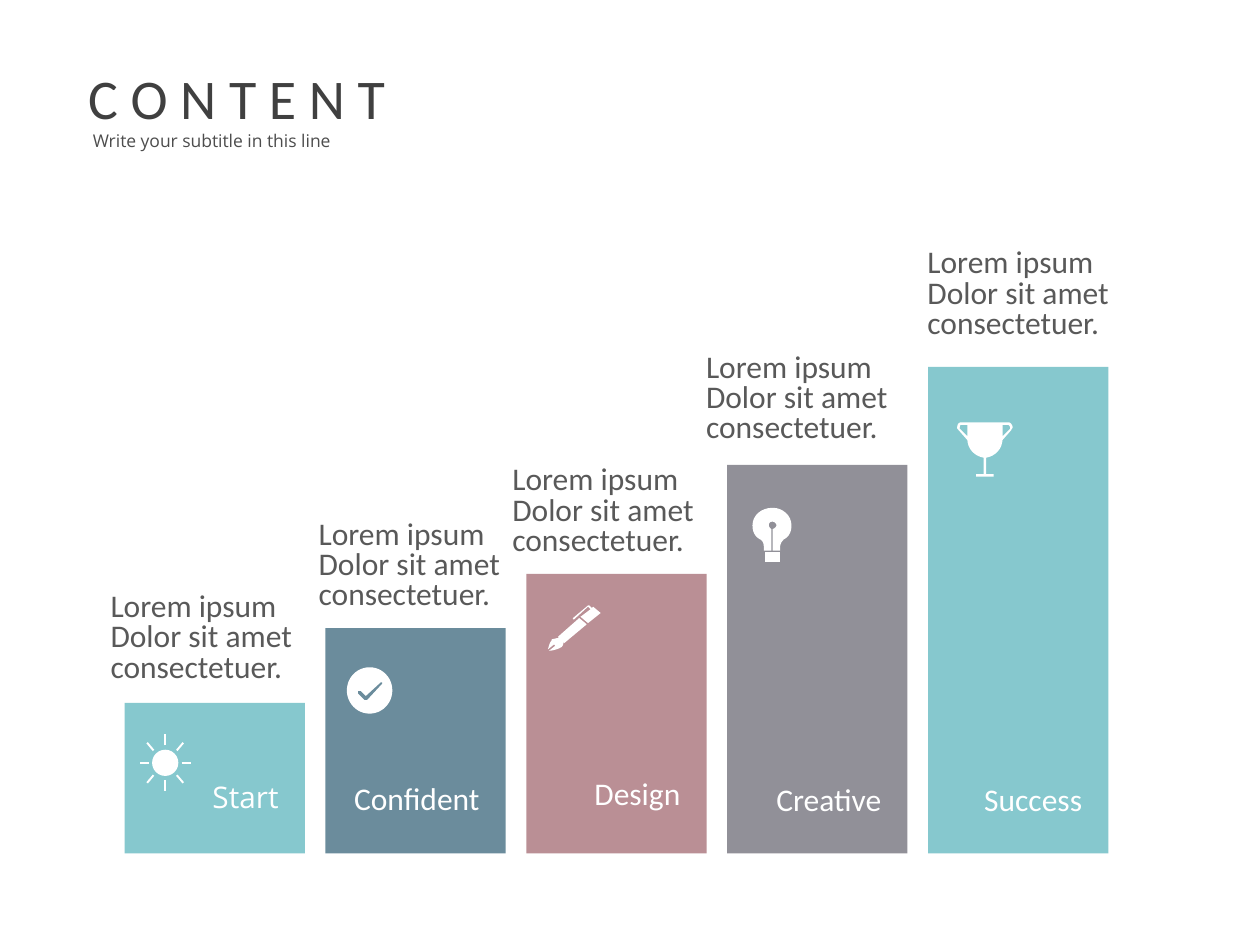
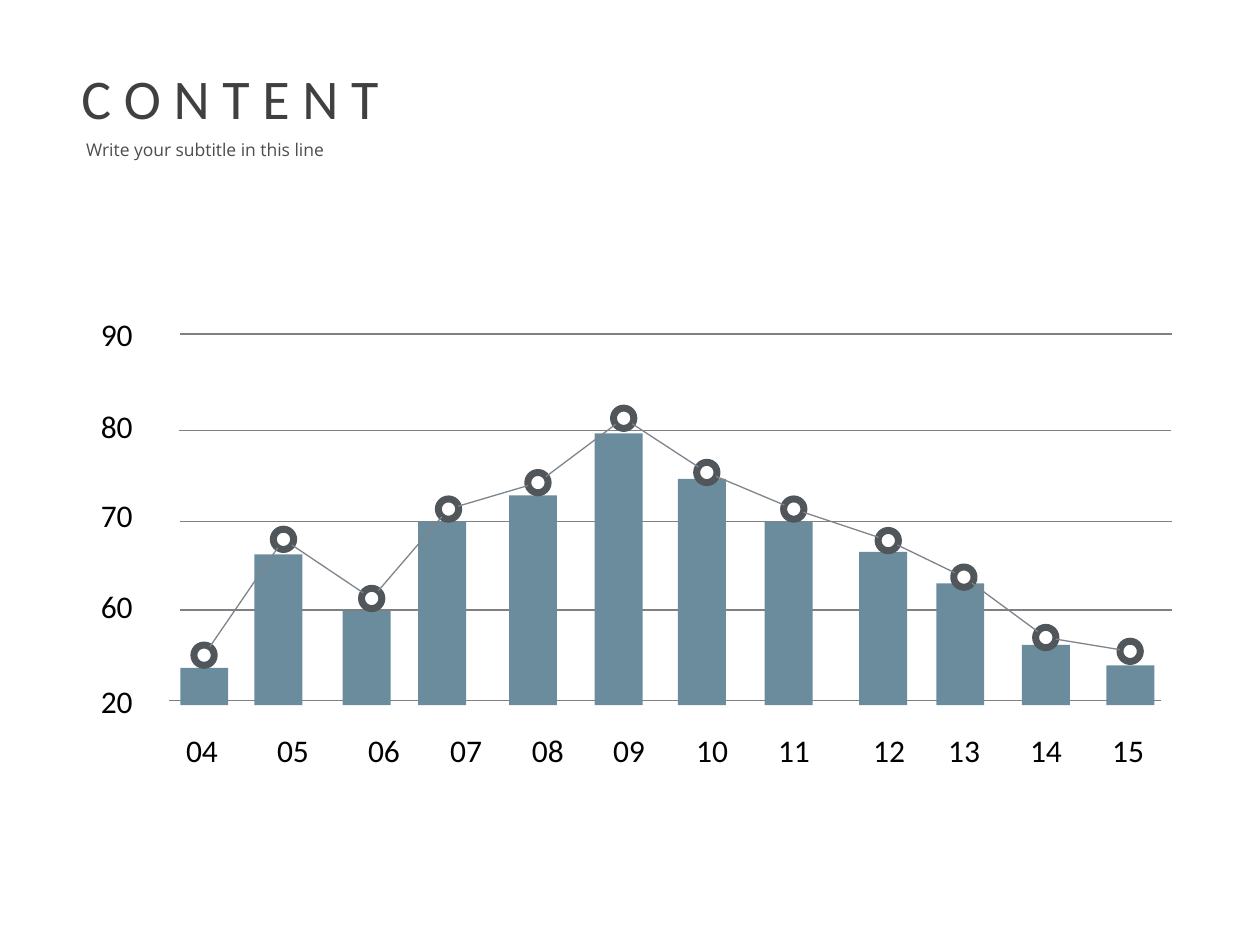
import math
from collections import namedtuple
from dataclasses import dataclass

import pptx
import pptx.dml.color
import pptx.enum.shapes
import pptx.enum.text
import pptx.oxml
import pptx.oxml.ns
import pptx.util

Pt = pptx.util.Pt
RECTANGLE = pptx.enum.shapes.MSO_SHAPE.RECTANGLE
OVAL = pptx.enum.shapes.MSO_SHAPE.OVAL
ALIGN = pptx.enum.text.PP_ALIGN


@dataclass(frozen=True)
class Theme:
    teal: str = "86C8CE"
    steel: str = "6B8C9C"
    rose: str = "BA8F95"
    grey: str = "919098"
    white: str = "FFFFFF"
    black: str = "000000"
    title: str = "404040"
    subtitle: str = "4D4D4D"
    note: str = "595959"
    ring: str = "51565B"
    grid: str = "808080"
    trend: str = "7D848B"
    body_font: str = "Calibri"
    accent_font: str = "Open Sans"
    title_size: float = 32
    body_size: float = 18
    start_size: float = 17
    subtitle_size: float = 10


THEME = Theme()
ICON_UNIT = 0.72
ICON_DETAIL = 100
CURVE_STEPS = 8

Card = namedtuple("Card", "caption color height caption_top note_offset icon icon_offset font size")
Year = namedtuple("Year", "label bar_left bar_top marker_x marker_y label_x")
Level = namedtuple("Level", "label line_left line_y label_top")

PEN_CLIP = [(20, 11), (21, 11), (32, 1), (34, 3), (26, 9), (32, 14),
            (42, 6), (36, 1), (35, 2), (33, 0), (32, 0), (20, 10)]
PEN_NIB = [(31, 15), (25, 10), (8, 25), (9, 26), (7, 26), (3, 27), (3, 28),
           (1, 30, 1, 33, 0, 35), (5, 31), (6, 32), (1, 36),
           (3, 36, 8, 35, 11, 33), (12, 32, 13, 30, 12, 28), (13, 30)]
CHECK_MARK = [(28, 13), (16, 26), (14, 26), (9, 21), (9, 19), (11, 19),
              (15, 23), (27, 12), (28, 12)]
BULB_GLASS = [(6, 25), (8, 26, 9, 28, 9, 31), (9, 34), (15, 34), (15, 17),
              (14, 16, 13, 15, 13, 14), (13, 12, 14, 11, 16, 11),
              (17, 11, 19, 12, 19, 14), (19, 15, 18, 16, 16, 17),
              (16, 34), (22, 34), (22, 31), (22, 28, 24, 26, 25, 25),
              (29, 23, 31, 19, 31, 14), (31, 6, 24, 0, 16, 0),
              (7, 0, 0, 6, 0, 14), (0, 19, 2, 23, 6, 25)]
BULB_BASE = [(10, 35), (10, 43), (22, 43), (22, 35)]
CUP_RIGHT_GAP = [(42, 5), (36, 11), (36, 2), (40, 2), (42, 2, 42, 4, 42, 5)]
CUP_LEFT_GAP = [(8, 11), (2, 5), (2, 4, 2, 2, 3, 2), (8, 2)]
CUP_BODY = [(41, 0), (3, 0), (1, 0, 0, 2, 0, 4), (0, 5, 0, 5, 1, 6), (8, 14),
            (8, 13), (8, 21, 14, 27, 21, 28), (21, 41), (15, 41), (15, 43),
            (29, 43), (29, 41), (23, 41), (23, 28), (30, 27, 36, 21, 36, 13),
            (36, 14), (43, 6), (43, 5, 44, 5, 44, 4), (44, 2, 42, 0, 41, 0)]


def rgb(color):
    return pptx.dml.color.RGBColor.from_string(color)


def fill_plain(shape, color):
    shape.shadow.inherit = False
    shape.fill.solid()
    shape.fill.fore_color.rgb = rgb(color)
    shape.line.fill.background()


def add_block(slide, kind, left, top, width, height, color):
    shape = slide.shapes.add_shape(kind, Pt(left), Pt(top), Pt(width), Pt(height))
    fill_plain(shape, color)
    return shape


def add_line(slide, start, end, color, weight=0.75):
    connector = slide.shapes.add_connector(
        pptx.enum.shapes.MSO_CONNECTOR.STRAIGHT, *(Pt(value) for value in (*start, *end)))
    connector.line.color.rgb = rgb(color)
    connector.line.width = Pt(weight)
    properties = connector._element.spPr
    properties.append(pptx.oxml.parse_xml(
        f"<a:effectLst {pptx.oxml.ns.nsdecls('a')}/>"))


def add_text(slide, box, text, color, size=THEME.body_size, font=THEME.body_font,
             align=ALIGN.LEFT, insets=(7.2, 3.6), spacing=None, wrap=True):
    shape = slide.shapes.add_textbox(*(Pt(value) for value in box))
    text_frame = shape.text_frame
    text_frame.word_wrap = wrap
    text_frame.margin_left = text_frame.margin_right = Pt(insets[0])
    text_frame.margin_top = text_frame.margin_bottom = Pt(insets[1])
    text_frame.text = text
    for paragraph in text_frame.paragraphs:
        paragraph.alignment = align
        if spacing:
            paragraph.line_spacing = spacing
        for run in paragraph.runs:
            run.font.name = font
            run.font.size = Pt(size)
            run.font.color.rgb = rgb(color)


def trace_contour(contour):
    points = [contour[0]]
    for segment in contour[1:]:
        if len(segment) == 2:
            points.append(segment)
            continue
        corners = [points[-1], segment[:2], segment[2:4], segment[4:]]
        for step in range(1, CURVE_STEPS + 1):
            t = step / CURVE_STEPS
            weights = [math.comb(3, k) * t ** k * (1 - t) ** (3 - k) for k in range(4)]
            points.append(tuple(sum(weight * corner[axis]
                                    for weight, corner in zip(weights, corners))
                                for axis in (0, 1)))
    return [(x * ICON_DETAIL, y * ICON_DETAIL) for x, y in points]


def add_outline(slide, left, top, contours, color):
    traced = [trace_contour(contour) for contour in contours]
    builder = slide.shapes.build_freeform(*traced[0][0], scale=Pt(ICON_UNIT) / ICON_DETAIL)
    for index, points in enumerate(traced):
        if index:
            builder.move_to(*points[0])
        builder.add_line_segments(points[1:], close=True)
    fill_plain(builder.convert_to_shape(Pt(left), Pt(top)), color)


def draw_sun(slide, left, top, card_color):
    center_x, center_y, radius = left + 14.6, top + 16.2, 7.5
    add_block(slide, OVAL, center_x - radius, center_y - radius,
              2 * radius, 2 * radius, THEME.white)
    for ray in range(8):
        cosine, sine = math.cos(ray * math.pi / 4), math.sin(ray * math.pi / 4)
        inner, outer = [(center_x + reach_x * cosine, center_y + reach_y * sine)
                        for reach_x, reach_y in ((9.4, 10), (14.6, 16.2))]
        add_line(slide, inner, outer, THEME.white, 1.1)


def draw_check(slide, left, top, card_color):
    add_block(slide, OVAL, left, top, 26, 26.5, THEME.white)
    add_outline(slide, left, top, [CHECK_MARK], card_color)


def draw_pen(slide, left, top, card_color):
    for part in (PEN_CLIP, PEN_NIB):
        add_outline(slide, left, top, [part], THEME.white)


def draw_bulb(slide, left, top, card_color):
    for part in (BULB_GLASS, BULB_BASE):
        add_outline(slide, left, top, [part], THEME.white)


def draw_trophy(slide, left, top, card_color):
    add_outline(slide, left, top, [CUP_RIGHT_GAP, CUP_LEFT_GAP, CUP_BODY], THEME.white)


CARDS = [
    Card("Start", THEME.teal, 86, 442, (-15.1, -66.2), draw_sun, (8.6, 18),
         THEME.accent_font, THEME.start_size),
    Card("Confident", THEME.steel, 128.7, 442, (-11, -64.8), draw_check, (12.2, 22.3),
         THEME.body_font, THEME.body_size),
    Card("Design", THEME.rose, 159.7, 439.5, (-15.1, -64.8), draw_pen, (12.2, 18),
         THEME.body_font, THEME.body_size),
    Card("Creative", THEME.grey, 222, 443, (-19.2, -67), draw_bulb, (14.4, 24.5),
         THEME.body_font, THEME.body_size),
    Card("Success", THEME.teal, 278, 443, (-7.5, -70.6), draw_trophy, (16.6, 31.7),
         THEME.body_font, THEME.body_size),
]
CARD_WIDTH, CARD_PITCH = 103, 114.8

LEVELS = [
    Level("20", 96.5, 400.3, 386),
    Level("60", 103, 348.5, 332),
    Level("70", 103, 298.1, 280),
    Level("80", 102.2, 246.2, 229),
    Level("90", 103, 190.8, 176.4),
]
YEARS = [
    Year("04", 103, 381.6, 116.6, 374.4, 115.4),
    Year("05", 145.4, 316.8, 162, 308.2, 167.4),
    Year("06", 195.8, 349.2, 212.4, 342, 219.4),
    Year("07", 239, 298.1, 256.3, 290.9, 266.3),
    Year("08", 290.9, 283, 307.4, 275.8, 313),
    Year("09", 339.8, 247.7, 356.4, 239, 359.4),
    Year("10", 387.4, 273.6, 403.9, 270, 406.9),
    Year("11", 437, 298.1, 453.6, 290.9, 453.7),
    Year("12", 491, 315.4, 507.6, 308.9, 508),
    Year("13", 535, 333.4, 550.8, 329.8, 550.9),
    Year("14", 583.9, 368.6, 597.6, 364.3, 597.7),
    Year("15", 632.2, 380.2, 645.8, 372.2, 644.6),
]
GRID_LENGTH, BAR_WIDTH, BAR_BOTTOM, MARKER_RADIUS = 567, 27.4, 403, 5.8
YEAR_LABEL_TOP, YEAR_LABEL_WIDTH = 414, 49


def add_heading(slide, left, subtitle_top):
    add_text(slide, (left, 33, 186.5, 46), "C O N T E N T", THEME.title,
             size=THEME.title_size, wrap=False)
    add_text(slide, (left + 9.8, subtitle_top, 150.5, 16.6),
             "Write your subtitle in this line", THEME.subtitle,
             size=THEME.subtitle_size, font=THEME.accent_font, insets=(0, 0))


def add_card(slide, card, left, bottom):
    top = bottom - card.height
    add_block(slide, RECTANGLE, left, top, CARD_WIDTH, card.height, card.color)
    add_text(slide, (left + 1.5, card.caption_top, 89.5, 31), card.caption, THEME.white,
             size=card.size, font=card.font, align=ALIGN.RIGHT, insets=(3, 3))
    card.icon(slide, left + card.icon_offset[0], top + card.icon_offset[1], card.color)
    add_text(slide, (left + card.note_offset[0], top + card.note_offset[1], 129.6, 59.8),
             "Lorem ipsum\nDolor sit amet consectetuer.", THEME.note, spacing=0.8)


def add_level(slide, level):
    add_line(slide, (level.line_left, level.line_y),
             (level.line_left + GRID_LENGTH, level.line_y), THEME.grid)
    add_text(slide, (50.5, level.label_top, 39.6, 28.8), level.label, THEME.black)


def add_year(slide, year):
    add_block(slide, RECTANGLE, year.bar_left, year.bar_top,
              BAR_WIDTH, BAR_BOTTOM - year.bar_top, THEME.steel)
    add_text(slide, (year.label_x - YEAR_LABEL_WIDTH / 2, YEAR_LABEL_TOP,
                     YEAR_LABEL_WIDTH, 28.8),
             year.label, THEME.black, align=ALIGN.CENTER)


def add_marker(slide, year):
    marker = add_block(slide, OVAL, year.marker_x - MARKER_RADIUS,
                       year.marker_y - MARKER_RADIUS,
                       2 * MARKER_RADIUS, 2 * MARKER_RADIUS, THEME.white)
    marker.line.color.rgb = rgb(THEME.ring)
    marker.line.width = Pt(4)


def add_trend(slide, first, second):
    run, rise = second.marker_x - first.marker_x, second.marker_y - first.marker_y
    share = MARKER_RADIUS / math.hypot(run, rise)
    add_line(slide, (first.marker_x + run * share, first.marker_y + rise * share),
             (second.marker_x - run * share, second.marker_y - rise * share), THEME.trend)


def build_steps_slide(slide):
    for index, card in enumerate(CARDS):
        add_card(slide, card, 71.2 + index * CARD_PITCH, 487.7)
    add_heading(slide, 43.2, 74.2)


def build_years_slide(slide):
    for level in LEVELS:
        add_level(slide, level)
    for year in YEARS:
        add_year(slide, year)
    for year in YEARS:
        add_marker(slide, year)
    for first, second in zip(YEARS, YEARS[1:]):
        add_trend(slide, first, second)
    add_heading(slide, 39.4, 79.2)


def main():
    presentation = pptx.Presentation()
    presentation.slide_width, presentation.slide_height = Pt(720), Pt(540)
    for build in (build_steps_slide, build_years_slide):
        build(presentation.slides.add_slide(presentation.slide_layouts[6]))
    presentation.save("out.pptx")


if __name__ == "__main__":
    main()
